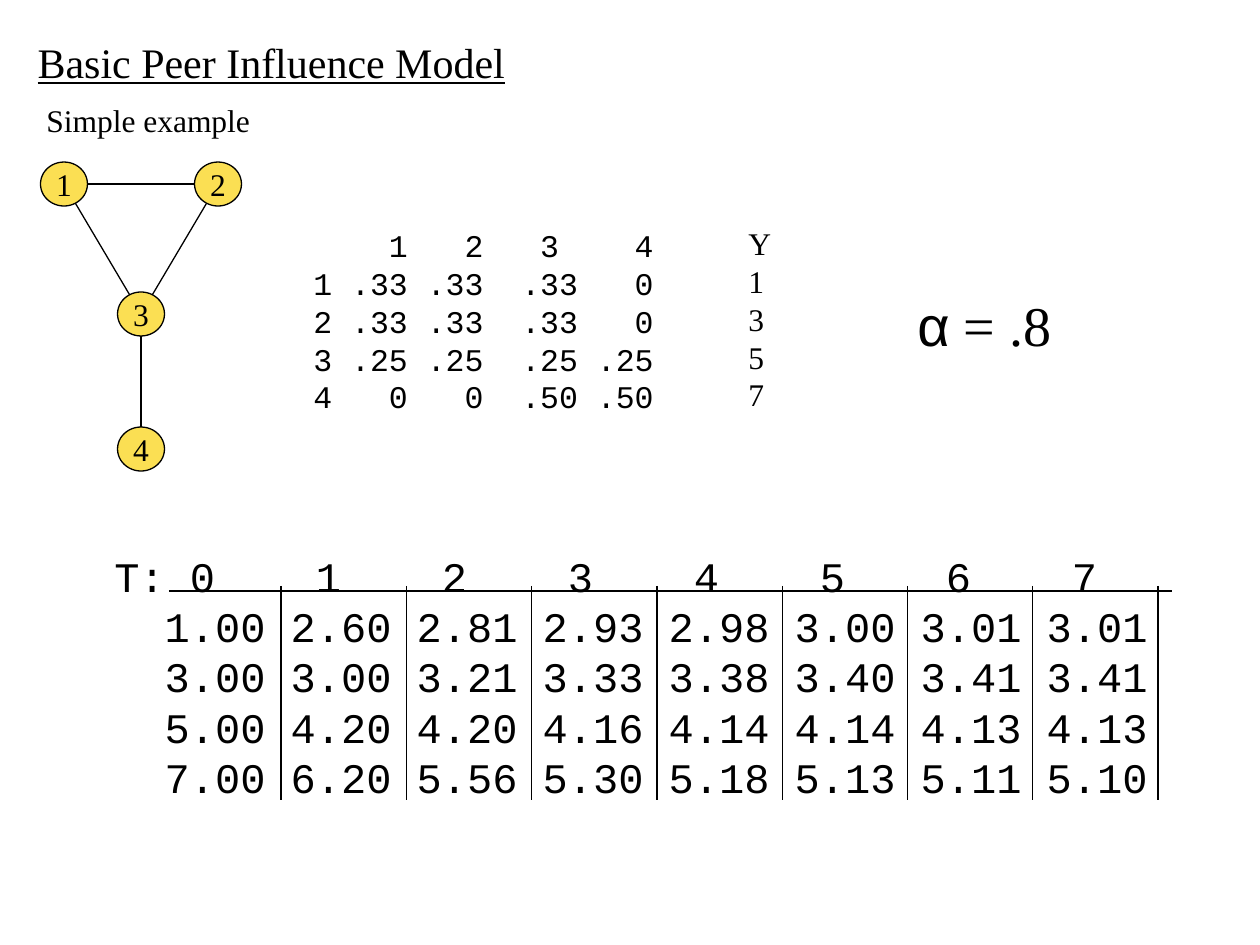
from lxml import etree
from pptx import Presentation
from pptx.dml.color import RGBColor
from pptx.enum import shapes, text
from pptx.oxml.ns import qn
from pptx.util import Emu, Pt

BLACK = RGBColor(0, 0, 0)
GOLD = RGBColor(0xFB, 0xDF, 0x53)
SERIF, MONO, SANS = "Times New Roman", "Courier New", "Arial"

# Content
TITLE = "Basic Peer Influence Model"
NODES = {"1": (64, 184), "2": (218, 184), "3": (141, 314), "4": (141, 449)}
EDGES = [("3", "4"), ("1", "2"), ("2", "3"), ("1", "3")]
WEIGHTS = [
    ["", "1", "2", "3", "4"],
    ["1", ".33", ".33", ".33", "0"],
    ["2", ".33", ".33", ".33", "0"],
    ["3", ".25", ".25", ".25", ".25"],
    ["4", "0", "0", ".50", ".50"],
]
START = ["Y", "1", "3", "5", "7"]
STEPS = [
    ["T:", "0", "1", "2", "3", "4", "5", "6", "7"],
    ["", "1.00", "2.60", "2.81", "2.93", "2.98", "3.00", "3.01", "3.01"],
    ["", "3.00", "3.00", "3.21", "3.33", "3.38", "3.40", "3.41", "3.41"],
    ["", "5.00", "4.20", "4.20", "4.16", "4.14", "4.14", "4.13", "4.13"],
    ["", "7.00", "6.20", "5.56", "5.30", "5.18", "5.13", "5.11", "5.10"],
]

# Tab stops, counted in characters: header row, then body rows
WEIGHT_TABS = [(5, 9, 13, 18), (5, 9, 14, 18)]
STEP_TABS = [range(3, 39, 5), range(2, 38, 5)]


def px(n):
    return Emu(round(n * 914400 / 126))


def style(para, size, font):
    para.font.size = Pt(size)
    para.font.name = font
    para.font.color.rgb = BLACK


def add_tabs(para, stops, size, align):
    tabs = etree.Element(qn("a:tabLst"))
    for stop in stops:
        pos = Pt(stop * size * 0.6)  # a monospaced letter is 0.6 em wide
        etree.SubElement(tabs, qn("a:tab"), pos=str(int(pos)), algn=align)
    para._p.get_or_add_pPr().insert(0, tabs)


def add_text(slide, box, lines, size, font=SERIF, wrap=False):
    frame = slide.shapes.add_textbox(*map(px, box)).text_frame
    frame.word_wrap = wrap
    frame.text = "\n".join(lines)
    for para in frame.paragraphs:
        style(para, size, font)
    return frame


def add_grid(slide, box, rows, size, stops, align):
    lines = ["\t".join(row) for row in rows]
    frame = add_text(slide, box, lines, size, MONO, wrap=True)
    for i, para in enumerate(frame.paragraphs):
        add_tabs(para, stops[min(i, 1)], size, align)


def add_line(slide, start, end):
    line = slide.shapes.add_connector(
        shapes.MSO_CONNECTOR.STRAIGHT, *map(px, (*start, *end)))
    line.line.color.rgb = BLACK
    line.line.width = Pt(0.75)
    etree.SubElement(line._element.spPr, qn("a:effectLst"))


def add_node(slide, name, mid, wide=47, high=44):
    x, y = mid
    node = slide.shapes.add_shape(
        shapes.MSO_SHAPE.OVAL,
        *map(px, (x - wide / 2, y - high / 2, wide, high)))
    node.shadow.inherit = False
    node.fill.solid()
    node.fill.fore_color.rgb = GOLD
    node.line.color.rgb = BLACK
    node.line.width = Pt(0.75)
    frame = node.text_frame
    frame.text = name
    frame.word_wrap = False
    frame.vertical_anchor = text.MSO_ANCHOR.MIDDLE
    para = frame.paragraphs[0]
    para.alignment = text.PP_ALIGN.CENTER
    style(para, 18, SERIF)


def main():
    deck = Presentation()
    deck.slide_width, deck.slide_height = px(1260), px(945)
    slide = deck.slides.add_slide(deck.slide_layouts[5])

    # Title and subtitle
    title = slide.shapes.title
    title.left, title.top, title.width, title.height = map(px, (25, 30, 493, 63))
    frame = title.text_frame
    frame.text = TITLE
    frame.word_wrap = False
    frame.auto_size = text.MSO_AUTO_SIZE.NONE
    frame.vertical_anchor = text.MSO_ANCHOR.TOP
    head = frame.paragraphs[0]
    head.alignment = text.PP_ALIGN.LEFT
    style(head, 24, SERIF)
    head.font.underline = True
    add_text(slide, (34, 95, 229, 50), ["Simple example"], 18)

    # Network
    for a, b in EDGES:
        add_line(slide, NODES[a], NODES[b])
    for name, mid in NODES.items():
        add_node(slide, name, mid)

    # Weights, starting values and alpha
    add_grid(slide, (301, 220, 375, 202), WEIGHTS, 18, WEIGHT_TABS, "r")
    add_text(slide, (736, 218, 48, 202), START, 18)
    alpha = add_text(slide, (905, 284, 163, 81), ["α"], 32).paragraphs[0]
    alpha.runs[0].font.name = SANS
    alpha.add_run().text = " = .8"

    # Values over time, with rules
    add_grid(slide, (102, 544, 1109, 265), STEPS, 24, STEP_TABS, "l")
    add_line(slide, (169, 591), (1172, 591))
    for i in range(8):
        x = 281 + i * 125.3
        add_line(slide, (x, 586), (x, 800))

    deck.save("out.pptx")


if __name__ == "__main__":
    main()
